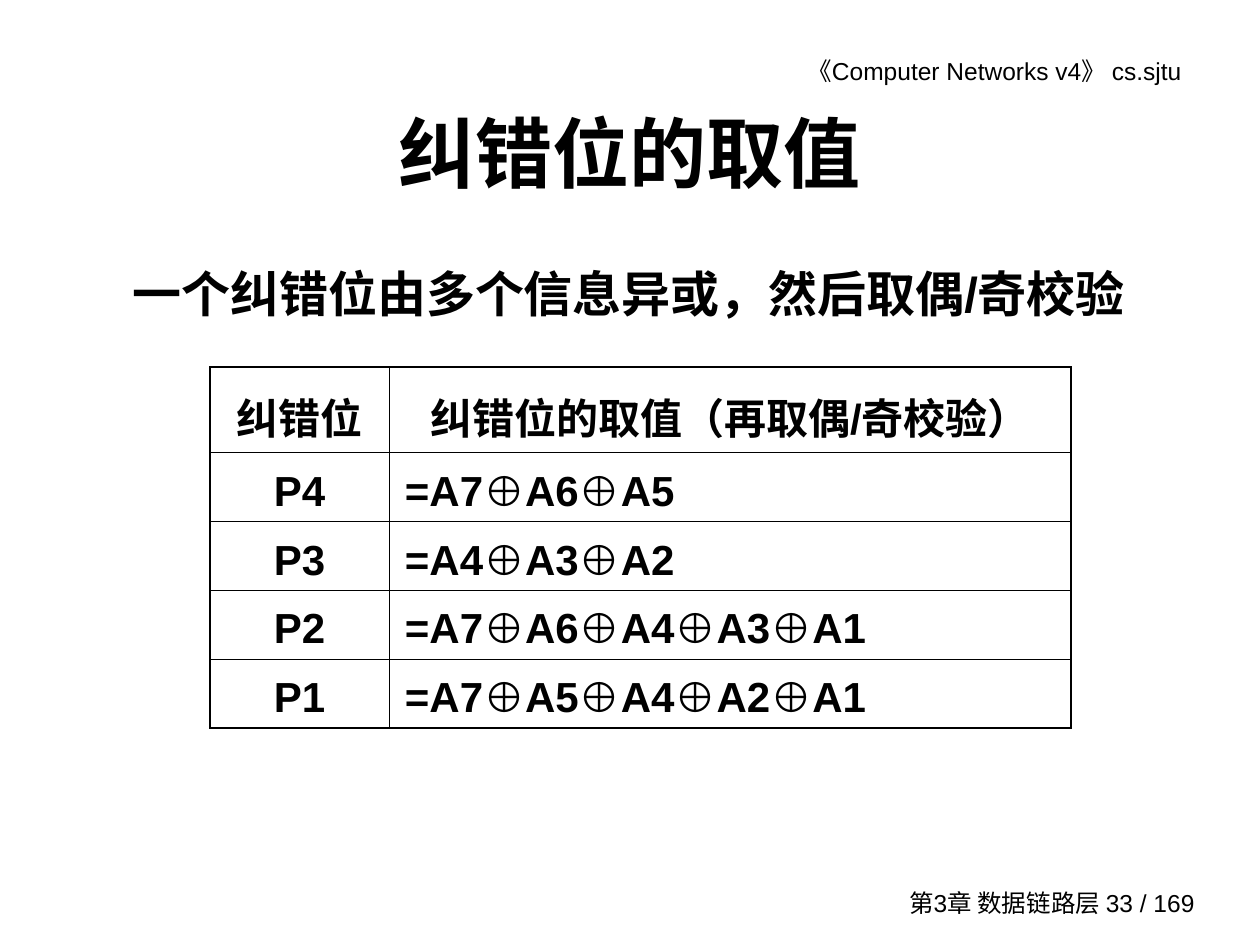
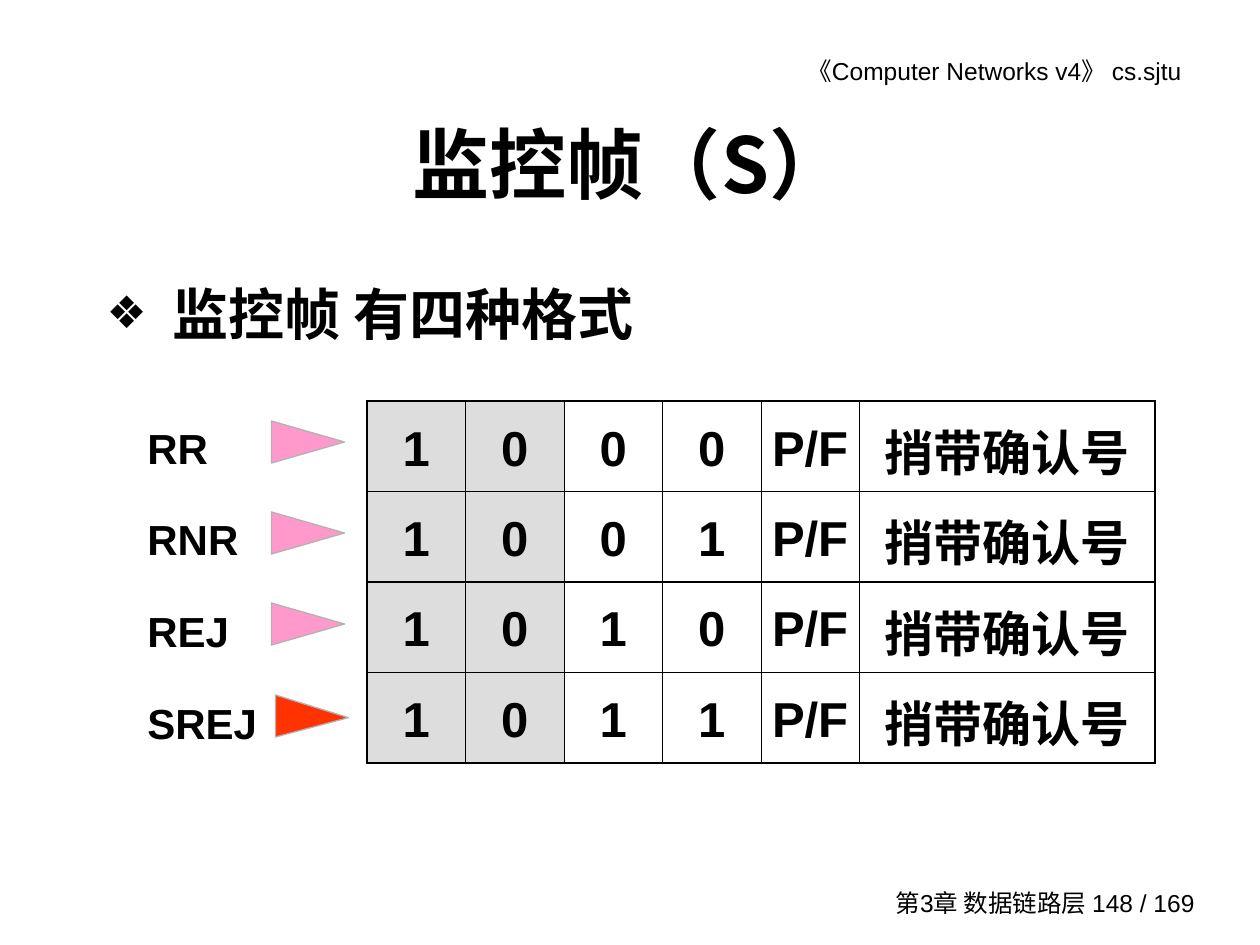
from lxml import etree
from pptx import Presentation
from pptx import util as u
from pptx.dml.color import RGBColor
from pptx.enum import shapes, text
from pptx.oxml import ns

PX = 914400 / 126
COLORS = {"ink": "000000", "paper": "FFFFFF", "fixed": "DDDDDD",
          "edge": "B2B2B2", "pink": "FF99CC", "red": "FF3300"}
LATIN, HAN = "Arial", "Noto Sans CJK SC"
LEFT, CENTER, RIGHT = text.PP_ALIGN.LEFT, text.PP_ALIGN.CENTER, text.PP_ALIGN.RIGHT
TOP, MIDDLE = text.MSO_ANCHOR.TOP, text.MSO_ANCHOR.MIDDLE
THIN, THICK = 0.45, 1.08
HANG = 66


def px(n):
    return u.Emu(round(n * PX))


def color(name):
    return RGBColor.from_string(COLORS[name])


def sub(parent, tag, **attrs):
    return etree.SubElement(parent, ns.qn(tag), attrs)


def write(tf, content, size, bold=True, align=LEFT, font=LATIN, line=1.0, gap=0):
    """Fill a text frame, one paragraph a line, with gap points between them."""
    for i, words in enumerate(content.split("\n")):
        p = tf.paragraphs[0] if i == 0 else tf.add_paragraph()
        p.alignment, p.line_spacing = align, line
        p.space_before = u.Pt(gap if i else 0)
        r = p.add_run()
        r.text = words
        r.font.name, r.font.size, r.font.bold = font, u.Pt(size), bold
        r.font.color.rgb = color("ink")
        sub(r.font._element, "a:ea", typeface=HAN)


def frame(sp, box, anchor=TOP):
    """Place a shape and prepare its text frame."""
    sp.left, sp.top, sp.width, sp.height = map(px, box)
    tf = sp.text_frame
    tf.word_wrap = True
    tf.auto_size = text.MSO_AUTO_SIZE.NONE
    tf.vertical_anchor = anchor
    return tf


def add_text(s, box, content, size, anchor=TOP, **style):
    sp = s.shapes.add_textbox(0, 0, 0, 0)
    write(frame(sp, box, anchor), content, size, **style)


def add_body(s, box, content, size, bullet=None):
    tf = frame(s.placeholders[1], box)
    pPr = tf.paragraphs[0]._p.get_or_add_pPr()
    pPr.set("marL", str(px(HANG)))
    pPr.set("indent", str(-px(HANG)))
    if bullet:
        sub(sub(pPr, "a:buClr"), "a:srgbClr", val=COLORS["ink"])
        sub(pPr, "a:buSzPct", val="80000")
        sub(pPr, "a:buChar", char=bullet)
    else:
        sub(pPr, "a:buNone")
    write(tf, content, size)


def new_slide(prs, title, title_height, page, title_font=LATIN):
    """Add a slide with the course header, title and chapter footer."""
    s = prs.slides.add_slide(prs.slide_layouts[1])
    add_text(s, (664, 50, 530, 43), "《Computer Networks v4》 cs.sjtu", 14,
             bold=False, align=RIGHT)
    add_text(s, (874, 882, 333, 42), f"第3章 数据链路层 {page} / 169", 14,
             anchor=MIDDLE, bold=False, align=RIGHT)
    tf = frame(s.shapes.title, (94, 84, 1071, title_height), MIDDLE)
    write(tf, title, 44, align=CENTER, font=title_font)
    return s


def set_borders(cell, **widths):
    tcPr = cell._tc.get_or_add_tcPr()
    for i, side in enumerate("LRTB"):
        ln = etree.Element(ns.qn(f"a:ln{side}"), w=str(u.Pt(widths[side])))
        sub(sub(ln, "a:solidFill"), "a:srgbClr", val=COLORS["ink"])
        tcPr.insert(i, ln)


def add_grid(s, box, rows, col_shares, row_shares, size, line, anchor=TOP,
             rule=THIN, shaded=(), left_from=None):
    """Draw a ruled table; body cells from column left_from on are left-aligned."""
    n_rows, n_cols = len(rows), len(col_shares)
    table = s.shapes.add_table(n_rows, n_cols, *map(px, box)).table
    table.first_row = table.horz_banding = False
    for col, share in zip(table.columns, col_shares):
        col.width = px(box[2] * share / sum(col_shares))
    for row, share in zip(table.rows, row_shares):
        row.height = px(box[3] * share / sum(row_shares))
    for i, values in enumerate(rows):
        for j, value in enumerate(values):
            cell = table.cell(i, j)
            is_left = left_from is not None and i > 0 and j >= left_from
            cell.margin_left = px(16 if is_left else 5)
            cell.margin_right = px(5)
            cell.vertical_anchor = anchor
            if j in shaded:
                cell.fill.solid()
                cell.fill.fore_color.rgb = color("fixed")
            else:
                cell.fill.background()
            set_borders(cell, L=THIN if j else THICK,
                        R=THIN if j < n_cols - 1 else THICK,
                        T=rule if i else THICK,
                        B=rule if i < n_rows - 1 else THICK)
            write(cell.text_frame, value, size, line=line,
                  align=LEFT if is_left else CENTER)


def add_pointer(s, center_x, center_y, fill, tip=0.5):
    """Draw a triangle that points right at a table row."""
    width, length = 42, 73
    sp = s.shapes.add_shape(shapes.MSO_SHAPE.ISOSCELES_TRIANGLE,
                            px(center_x - width / 2), px(center_y - length / 2),
                            px(width), px(length))
    sp.rotation = 90
    sp.adjustments[0] = tip
    sp.shadow.inherit = False
    sp.fill.solid()
    sp.fill.fore_color.rgb = color(fill)
    sp.line.color.rgb = color("edge")
    sp.line.width = u.Pt(0.75)


def check_bits_slide(prs):
    s = new_slide(prs, "纠错位的取值", 136, 33)
    add_body(s, (120, 257, 1046, 84), "一个纠错位由多个信息异或，然后取偶/奇校验", 28)
    covered = {"P4": "765", "P3": "432", "P2": "76431", "P1": "75421"}
    rows = [("纠错位", "纠错位的取值（再取偶/奇校验）")]
    rows += [(bit, "=" + "⊕".join(f"A{d}" for d in digits))
             for bit, digits in covered.items()]
    add_grid(s, (210, 367, 861, 361), rows, (179, 682), (86, 69, 69, 69, 69),
             24, 1.2, left_from=1)


def supervisory_slide(prs):
    s = new_slide(prs, "监控帧（S）", 157, 148, title_font=HAN)
    add_body(s, (94, 273, 1071, 93), "监控帧 有四种格式", 32, bullet="❖")
    frames = {"RR": "00", "RNR": "01", "REJ": "10", "SREJ": "11"}
    rows = [("1", "0", *code, "P/F", "捎带确认号") for code in frames.values()]
    add_grid(s, (367, 401, 788, 362), rows, (1, 1, 1, 1, 1, 3), (1, 1, 1, 1),
             28, 1.1, anchor=MIDDLE, rule=THICK, shaded=(0, 1))
    add_text(s, (135, 401, 154, 354), "\n".join(frames), 24, line=1.3, gap=15)
    for i in range(3):
        add_pointer(s, 308, 442 + 91 * i, "pink")
    add_pointer(s, 312, 716, "red", tip=0.54)


def main():
    prs = Presentation()
    prs.slide_width, prs.slide_height = px(1260), px(945)
    background = prs.slide_master.background.fill
    background.solid()
    background.fore_color.rgb = color("paper")
    check_bits_slide(prs)
    supervisory_slide(prs)
    prs.save("out.pptx")


if __name__ == "__main__":
    main()
